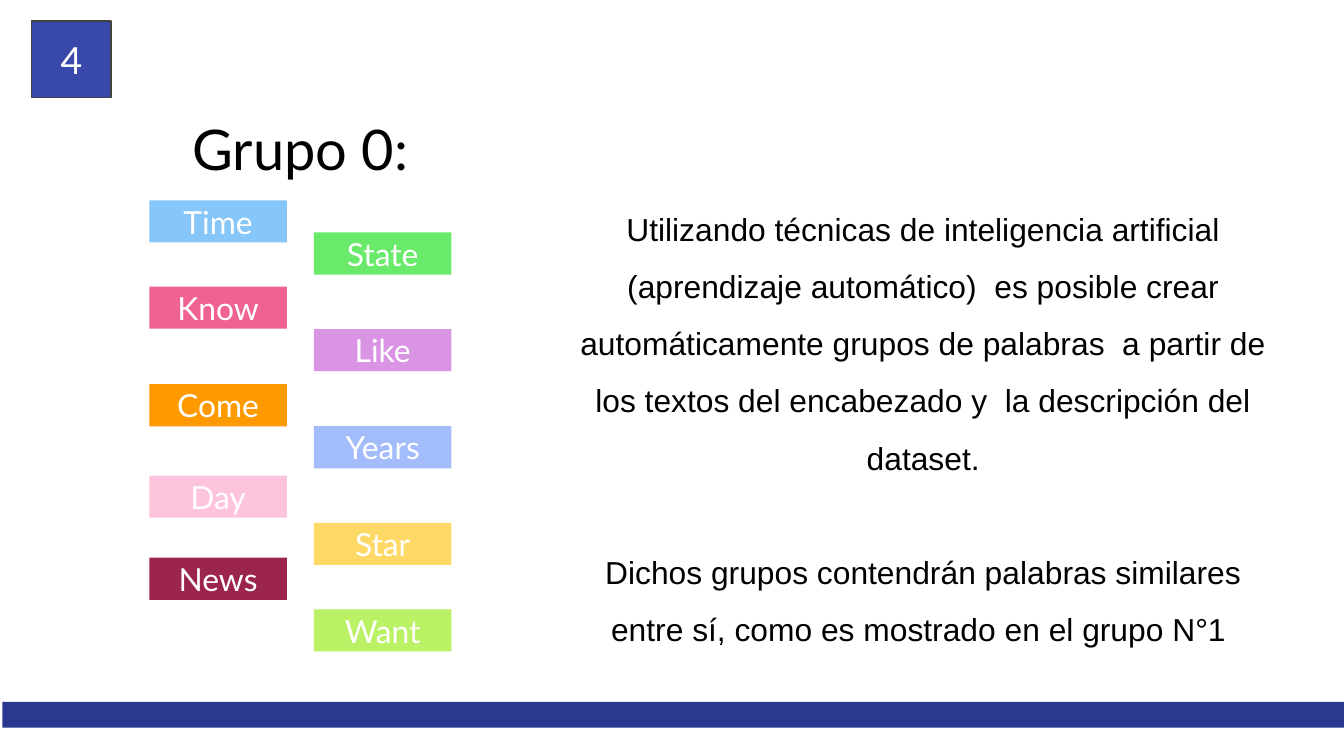
from lxml.etree import SubElement
from pptx import Presentation
from pptx.dml.color import RGBColor
from pptx.enum.shapes import MSO_SHAPE as Shape
from pptx.enum.text import MSO_ANCHOR as Anchor, MSO_AUTO_SIZE as AutoSize, PP_ALIGN as Align
from pptx.oxml.ns import qn
from pptx.util import Pt

WHITE = RGBColor(0xFF, 0xFF, 0xFF)
BLACK = RGBColor(0x00, 0x00, 0x00)
INDIGO = RGBColor(0x39, 0x49, 0xAB)
NAVY = RGBColor(0x2A, 0x39, 0x90)
CHARCOAL = RGBColor(0x43, 0x43, 0x43)

HEADING = "Grupo 0:"
PAGE_NUMBER = "4"
EXPLANATION = [
    "Utilizando técnicas de inteligencia artificial (aprendizaje automático)  es posible "
    "crear automáticamente grupos de palabras  a partir de los textos del encabezado y  "
    "la descripción del dataset.",
    "Dichos grupos contendrán palabras similares entre sí, como es mostrado en el grupo N°1 ",
]
# Word, top, fill; the words alternate between the left and right column
WORDS = [
    ("Time", 107.3, RGBColor(0x86, 0xC6, 0xF8)),
    ("State", 124.5, RGBColor(0x6A, 0xEA, 0x6A)),
    ("Know", 153.5, RGBColor(0xF0, 0x62, 0x92)),
    ("Like", 176.3, RGBColor(0xD9, 0x94, 0xE3)),
    ("Come", 205.8, RGBColor(0xFF, 0x99, 0x00)),
    ("Years", 228.3, RGBColor(0xA3, 0xBC, 0xFB)),
    ("Day", 254.8, RGBColor(0xFF, 0xC4, 0xDD)),
    ("Star", 280.1, RGBColor(0xFF, 0xD9, 0x66)),
    ("News", 298.8, RGBColor(0x9C, 0x25, 0x4D)),
    ("Want", 326.4, RGBColor(0xBA, 0xF1, 0x65)),
]

SLIDE_WIDTH, SLIDE_HEIGHT = 720, 405
COLUMN_LEFTS = (80, 168.2)
WORD_WIDTH, WORD_HEIGHT = 73.7, 22.6
BAR_LEFT = 1.3
LINE_GAP = 30.8

MARGIN = 7.2
HEADING_FONT = {"name": "Lato", "size": Pt(30), "color": BLACK}
NUMBER_FONT = {"name": "Lato", "size": Pt(20), "color": WHITE}
WORD_FONT = {"name": "Lato", "size": Pt(17), "color": WHITE}
BODY_FONT = {"name": "Arial", "size": Pt(17), "color": BLACK}


def place(shape, left, top, width, height):
    for name, value in zip(("left", "top", "width", "height"), (left, top, width, height)):
        setattr(shape, name, Pt(value))


def write(shape, paragraphs, font, anchor, paragraph_format=None):
    frame = shape.text_frame
    frame.text = "\n".join(paragraphs)
    frame_format = {"word_wrap": True, "auto_size": AutoSize.NONE, "vertical_anchor": anchor}
    for side in ("left", "top", "right", "bottom"):
        frame_format[f"margin_{side}"] = Pt(MARGIN)
    for name, value in frame_format.items():
        setattr(frame, name, value)
    for paragraph in frame.paragraphs:
        for name, value in {"alignment": Align.CENTER, **(paragraph_format or {})}.items():
            setattr(paragraph, name, value)
        for run in paragraph.runs:
            run.font.name, run.font.size = font["name"], font["size"]
            run.font.color.rgb = font["color"]


def add_box(slide, box, fill, line=None):
    shape = slide.shapes.add_shape(Shape.RECTANGLE, *(Pt(value) for value in box))
    shape.shadow.inherit = False
    shape.fill.solid()
    shape.fill.fore_color.rgb = fill
    if line is None:
        shape.line.fill.background()
    else:
        shape.line.color.rgb = line
        shape.line.width = Pt(0.75)
    return shape


def remove_bullet(paragraph):
    properties = paragraph._p.get_or_add_pPr()
    properties.set("marL", "0")
    properties.set("indent", "0")
    SubElement(properties, qn("a:buNone"))


def main():
    presentation = Presentation()
    presentation.slide_width, presentation.slide_height = Pt(SLIDE_WIDTH), Pt(SLIDE_HEIGHT)
    slide = presentation.slides.add_slide(presentation.slide_layouts[1])
    title, body = slide.placeholders

    place(title, 95.8, 54, 130.3, 41)
    write(title, [HEADING], HEADING_FONT, Anchor.TOP)

    place(body, 301.7, 95, 385.9, 244)
    write(body, EXPLANATION, BODY_FONT, Anchor.TOP, {"line_spacing": 1.5, "space_before": Pt(0)})
    body.text_frame.paragraphs[1].space_before = Pt(LINE_GAP)
    for paragraph in body.text_frame.paragraphs:
        remove_bullet(paragraph)

    number_box = add_box(slide, (17, 11.3, 42.5, 41), INDIGO, CHARCOAL)
    write(number_box, [PAGE_NUMBER], NUMBER_FONT, Anchor.MIDDLE)

    for index, (word, top, fill) in enumerate(WORDS):
        left = COLUMN_LEFTS[index % 2]
        word_box = add_box(slide, (left, top, WORD_WIDTH, WORD_HEIGHT), fill)
        write(word_box, [word], WORD_FONT, Anchor.MIDDLE)

    add_box(slide, (BAR_LEFT, 376, SLIDE_WIDTH - BAR_LEFT, 13.9), NAVY)
    presentation.save("out.pptx")


if __name__ == "__main__":
    main()
